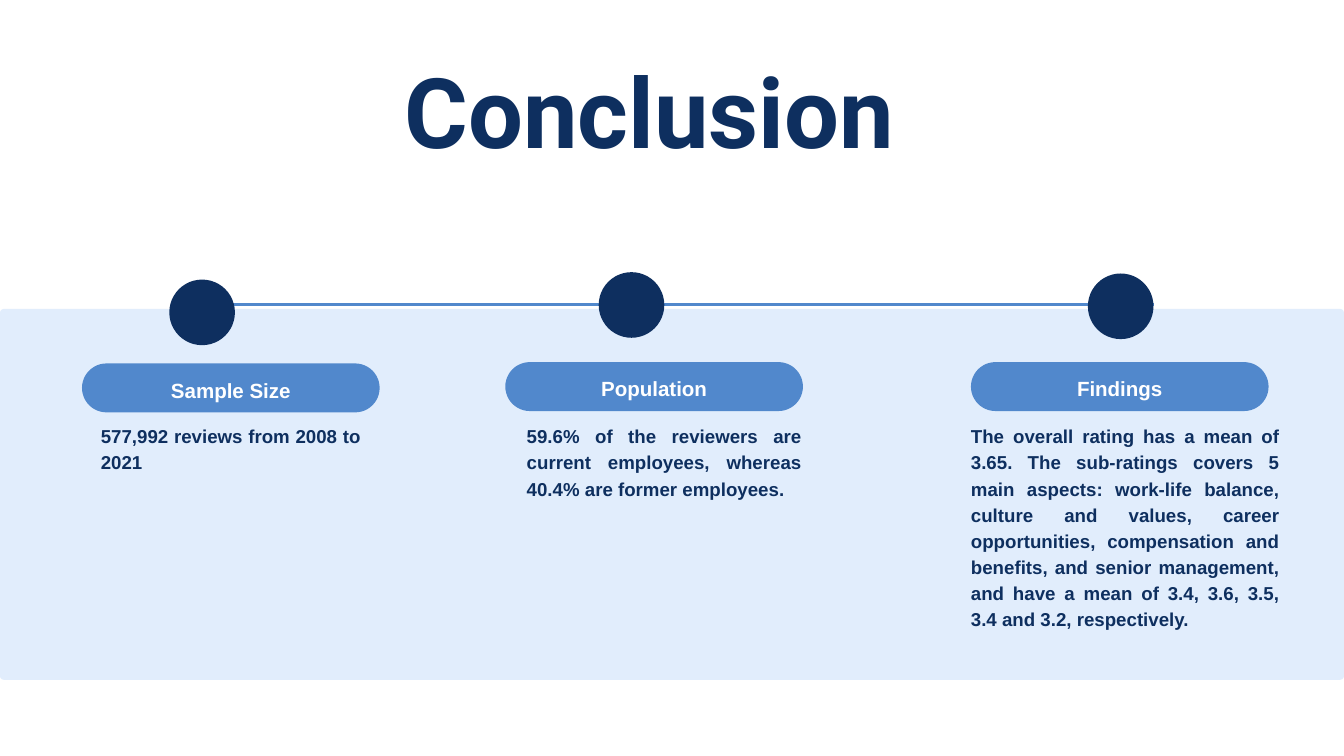
from dataclasses import dataclass

from lxml import etree
from pptx import Presentation
from pptx.dml.color import RGBColor
from pptx.enum import shapes, text
from pptx.oxml import ns
from pptx.util import Cm, Pt

NAVY = RGBColor(0x0E, 0x2F, 0x5F)
BLUE = RGBColor(0x51, 0x88, 0xCC)
PALE = RGBColor(0xE1, 0xED, 0xFC)
WHITE = RGBColor(0xFF, 0xFF, 0xFF)

PILL_WIDTH, PILL_HEIGHT = 11.25, 1.85
DOT_SIZE = 2.48
BODY_TOP = 15.93


@dataclass
class Stage:
    label: str
    body: str
    pill: tuple
    dot: tuple
    body_left: float
    body_width: float
    body_height: float


STAGES = [
    Stage("Sample Size", "577,992 reviews from 2008 to 2021",
          (3.1, 13.74), (6.4, 10.57), 3.81, 9.83, 1.96),
    Stage("Population",
          "59.6% of the reviewers are current employees, whereas "
          "40.4% are former employees.",
          (19.1, 13.69), (22.63, 10.29), 19.91, 10.39, 2.9),
    Stage("Findings",
          "The overall rating has a mean of 3.65. The sub-ratings covers 5 main "
          "aspects: work-life balance, culture and values, career opportunities, "
          "compensation and benefits, and senior management, and have a mean of "
          "3.4, 3.6, 3.5, 3.4 and 3.2, respectively.",
          (36.7, 13.69), (41.12, 10.34), 36.7, 11.66, 8.89),
]


def write(box, wording, size, spacing, color, align, font="Arial",
          anchor=text.MSO_ANCHOR.TOP):
    frame = box.text_frame
    frame.text = wording
    frame.word_wrap = True
    frame.auto_size = text.MSO_AUTO_SIZE.NONE
    frame.vertical_anchor = anchor
    frame.margin_left = frame.margin_right = 0
    frame.margin_top = frame.margin_bottom = 0
    para = frame.paragraphs[0]
    para.alignment = align
    para.line_spacing = Pt(spacing)
    para.space_before = Pt(0)
    span = para.runs[0]
    span.font.name = font
    span.font.size = Pt(size)
    span.font.bold = True
    span.font.color.rgb = color


def add_title(page, wording):
    title = page.shapes.title
    title.left, title.top = Cm(12.32), Cm(1.68)
    title.width, title.height = Cm(21.49), Cm(5.13)
    write(title, wording, 104.3, 132.5, NAVY, text.PP_ALIGN.RIGHT, "Roboto")


def add_filled(page, kind, left, top, width, height, color):
    shape = page.shapes.add_shape(kind, Cm(left), Cm(top), Cm(width), Cm(height))
    shape.shadow.inherit = False
    shape.fill.solid()
    shape.fill.fore_color.rgb = color
    shape.line.fill.background()
    return shape


def add_band(page):
    band = add_filled(page, shapes.MSO_SHAPE.ROUNDED_RECTANGLE,
                      0, 11.68, 50.8, 14.02, PALE)
    band.adjustments[0] = 0.01


def add_pill(page, stage):
    pill = add_filled(page, shapes.MSO_SHAPE.ROUNDED_RECTANGLE,
                      *stage.pill, PILL_WIDTH, PILL_HEIGHT, BLUE)
    pill.adjustments[0] = 0.5
    write(pill, stage.label, 22, 30.8, WHITE, text.PP_ALIGN.CENTER,
          anchor=text.MSO_ANCHOR.MIDDLE)


def add_body(page, stage):
    box = page.shapes.add_textbox(Cm(stage.body_left), Cm(BODY_TOP),
                                  Cm(stage.body_width), Cm(stage.body_height))
    write(box, stage.body, 20, 28, NAVY, text.PP_ALIGN.JUSTIFY)


def add_timeline(page):
    line = page.shapes.add_connector(shapes.MSO_CONNECTOR.STRAIGHT,
                                     Cm(7.62), Cm(11.51), Cm(43.6), Cm(11.51))
    line.line.color.rgb = BLUE
    line.line.width = Pt(3)
    etree.SubElement(line._element.spPr, ns.qn("a:effectLst"))


def add_dot(page, stage):
    add_filled(page, shapes.MSO_SHAPE.OVAL, *stage.dot, DOT_SIZE, DOT_SIZE, NAVY)


def main():
    deck = Presentation()
    deck.slide_width, deck.slide_height = Cm(50.8), Cm(28.58)
    page = deck.slides.add_slide(deck.slide_layouts.get_by_name("Title Only"))
    add_title(page, "Conclusion")
    add_band(page)
    for stage in STAGES:
        add_pill(page, stage)
        add_body(page, stage)
    add_timeline(page)
    for stage in STAGES:
        add_dot(page, stage)
    deck.save("out.pptx")


if __name__ == "__main__":
    main()
